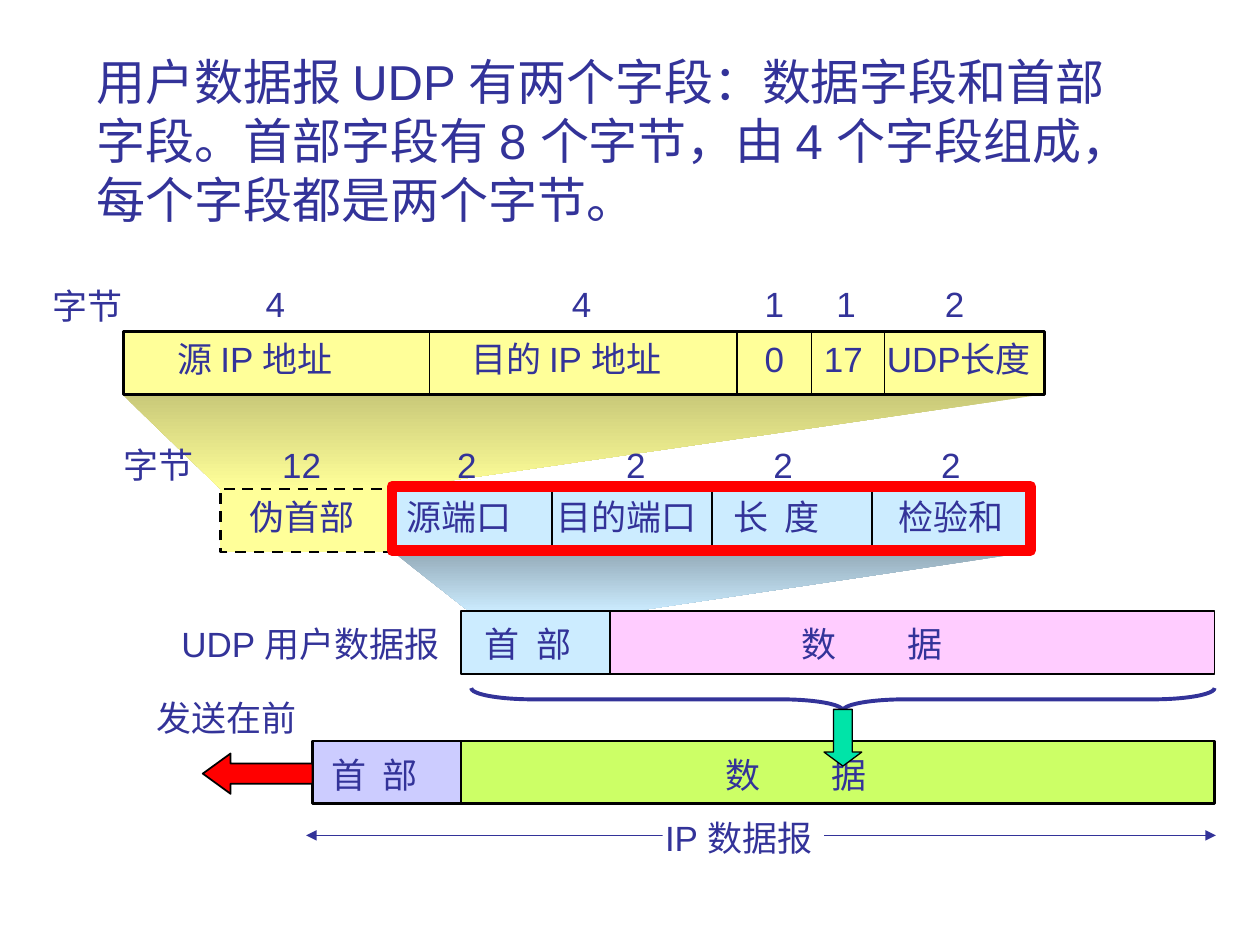
"""Build a slide on the UDP header, its pseudo header and IP encapsulation."""
import pptx
import pptx.dml.color
import pptx.enum.dml
import pptx.enum.shapes
import pptx.enum.text
import pptx.oxml
import pptx.oxml.ns
import pptx.util

Inches = pptx.util.Inches
Pt = pptx.util.Pt
RGBColor = pptx.dml.color.RGBColor
Kind = pptx.enum.shapes.MSO_SHAPE

BLACK = RGBColor(0x00, 0x00, 0x00)
WHITE = RGBColor(0xFF, 0xFF, 0xFF)
NAVY = RGBColor(0x33, 0x33, 0x99)
RED = RGBColor(0xFF, 0x00, 0x00)
YELLOW = RGBColor(0xFF, 0xFF, 0x99)
DARK_YELLOW = RGBColor(0xC9, 0xC9, 0x79)
SKY = RGBColor(0xCC, 0xEC, 0xFF)
DARK_SKY = RGBColor(0x94, 0xAB, 0xB9)
LAVENDER = RGBColor(0xCC, 0xCC, 0xFF)
LIME = RGBColor(0xCC, 0xFF, 0x66)
PINK = RGBColor(0xFF, 0xCC, 0xFF)
GREEN = RGBColor(0x00, 0xE4, 0xA8)

ROW_HEIGHT = 0.5
PSEUDO_TOP, HEADER_TOP, UDP_TOP, IP_TOP = 2.63, 3.88, 4.85, 5.88

presentation = pptx.Presentation()
presentation.slide_width = Inches(10)
presentation.slide_height = Inches(7.5)
slide = presentation.slides.add_slide(presentation.slide_layouts[6])


def add_box(kind, left, top, width, height, fill, line, line_width):
    shape = slide.shapes.add_shape(
        kind, Inches(left), Inches(top), Inches(width), Inches(height))
    shape.shadow.inherit = False
    if fill is None:
        shape.fill.background()
    else:
        shape.fill.solid()
        shape.fill.fore_color.rgb = fill
    if line is None:
        shape.line.fill.background()
    else:
        shape.line.color.rgb = line
        shape.line.width = Pt(line_width)
    return shape


def add_label(text, left, top, width, height=0.44, size=20, wrap=False, tab=None):
    box = slide.shapes.add_textbox(
        Inches(left), Inches(top), Inches(width), Inches(height))
    frame = box.text_frame
    frame.word_wrap = wrap
    frame.margin_right = Inches(0.1 if wrap else 0.05)
    frame.auto_size = pptx.enum.text.MSO_AUTO_SIZE.SHAPE_TO_FIT_TEXT
    paragraph = frame.paragraphs[0]
    properties = paragraph._p.get_or_add_pPr()
    properties.set("hangingPunct", "0")
    if tab:
        tab_list = properties.makeelement(pptx.oxml.ns.qn("a:tabLst"), {})
        tab_list.append(properties.makeelement(
            pptx.oxml.ns.qn("a:tab"), {"pos": str(Inches(tab)), "algn": "l"}))
        properties.append(tab_list)
    run = paragraph.add_run()
    run.text = text
    run.font.name = "Arial"
    run.font.size = Pt(size)
    run.font.color.rgb = NAVY


funnels = [
    ([(3.12, 4.38), (8.18, 4.38), (4.97, 4.86), (3.72, 4.85)], DARK_SKY, SKY),
    ([(0.97, 3.13), (8.28, 3.13), (3.12, 3.88), (1.75, 3.88)], DARK_YELLOW, YELLOW),
]
for points, top_color, bottom_color in funnels:
    corners = [(Inches(x), Inches(y)) for x, y in points]
    builder = slide.shapes.build_freeform(*corners[0])
    builder.add_line_segments(corners[1:], close=True)
    funnel = builder.convert_to_shape()
    funnel.shadow.inherit = False
    funnel.line.fill.background()
    funnel.fill.gradient()
    funnel.fill.gradient_angle = 270
    for stop, position, color in zip(
            funnel.fill.gradient_stops, (0, 1), (top_color, bottom_color)):
        stop.position = position
        stop.color.rgb = color

for left, top, width, fill, line_width in [
    (0.98, PSEUDO_TOP, 7.31, YELLOW, 1.5),
    (3.12, HEADER_TOP, 5.07, SKY, 1.5),
    (3.66, UDP_TOP, 1.18, SKY, 1),
    (4.84, UDP_TOP, 4.8, PINK, 1),
    (2.48, IP_TOP, 1.18, LAVENDER, 1.5),
    (3.66, IP_TOP, 5.98, LIME, 1.5),
]:
    add_box(Kind.RECTANGLE, left, top, width, ROW_HEIGHT, fill, BLACK, line_width)

corners = [(Inches(x), Inches(y))
           for x, y in [(3.12, 4.38), (1.75, 4.38), (1.75, 3.88), (3.12, 3.88)]]
builder = slide.shapes.build_freeform(*corners[0])
builder.add_line_segments(corners[1:], close=False)
pseudo_header = builder.convert_to_shape()
pseudo_header.shadow.inherit = False
pseudo_header.fill.solid()
pseudo_header.fill.fore_color.rgb = YELLOW
pseudo_header.line.color.rgb = BLACK
pseudo_header.line.width = Pt(1.5)
pseudo_header.line.dash_style = pptx.enum.dml.MSO_LINE.DASH

dividers = [(x, PSEUDO_TOP, x, PSEUDO_TOP + ROW_HEIGHT, BLACK)
            for x in (3.41, 5.85, 6.44, 7.02)]
dividers += [(x, HEADER_TOP, x, HEADER_TOP + ROW_HEIGHT, BLACK)
             for x in (4.38, 5.65, 6.92)]
span = (2.43, 6.63, 9.65, 6.63, NAVY)
for x1, y1, x2, y2, color in dividers + [span]:
    connector = slide.shapes.add_connector(
        pptx.enum.shapes.MSO_CONNECTOR.STRAIGHT,
        Inches(x1), Inches(y1), Inches(x2), Inches(y2))
    connector.line.color.rgb = color
    connector.line.width = Pt(0.75)
    properties = connector._element.spPr
    properties.append(properties.makeelement(pptx.oxml.ns.qn("a:effectLst"), {}))
line = connector.line._get_or_add_ln()
for end in ("a:headEnd", "a:tailEnd"):
    line.append(line.makeelement(pptx.oxml.ns.qn(end), {"type": "triangle"}))

add_box(Kind.RECTANGLE, 5.26, 6.46, 1.28, 0.32, WHITE, None, 0)
send_arrow = add_box(Kind.LEFT_ARROW, 1.61, 5.98, 0.87, 0.32, RED, BLACK, 1)
send_arrow.adjustments[1] = 0.69
brace = add_box(Kind.LEFT_BRACE, 6.6, 2.6, 0.18, 5.9, None, NAVY, 2.25)
brace.rotation = 270
brace.adjustments[0] = 2.72

rows = [
    (2.19, [("4", 2.01, 0.35), ("4", 4.44, 0.35), ("1", 5.97, 0.35),
            ("1", 6.54, 0.35), ("2", 7.4, 0.35)]),
    (2.21, [("字节", 0.32, 0.75)]),
    (PSEUDO_TOP, [("源 IP 地址", 1.31, 1.64), ("目的 IP 地址", 3.64, 1.92),
                  ("0", 5.97, 0.35), ("17", 6.44, 0.51), ("UDP长度", 6.94, 1.41)]),
    (3.47, [("字节", 0.88, 0.75), ("12", 2.14, 0.51), ("2", 3.53, 0.35),
            ("2", 4.87, 0.35), ("2", 6.04, 0.35), ("2", 7.37, 0.35)]),
    (HEADER_TOP, [("伪首部", 1.88, 1.03), ("源端口", 3.13, 1.03),
                  ("目的端口", 4.32, 1.31), ("长\t度", 5.72, 1.03, 0.41),
                  ("检验和", 7.03, 1.03)]),
    (4.89, [("UDP 用户数据报", 1.34, 2.32), ("首\t部", 3.75, 1.03, 0.41),
            ("数\t据", 6.26, 2.01, 0.84)]),
    (5.48, [("发送在前", 1.14, 1.31)]),
    (5.93, [("首\t部", 2.53, 1.03, 0.41), ("数\t据", 5.66, 2.01, 0.84)]),
    (6.43, [("IP 数据报", 5.18, 1.44)]),
]
for top, labels in rows:
    for text, left, width, *tab in labels:
        add_label(text, left, top, width, tab=tab[0] if tab else None)

down_arrow = add_box(Kind.DOWN_ARROW, 6.54, 5.63, 0.3, 0.45, GREEN, BLACK, 0.75)
down_arrow.adjustments[1] = 0.37
add_box(Kind.RECTANGLE, 3.11, 3.86, 5.07, 0.51, None, RED, 6)
add_label("用户数据报 UDP 有两个字段：数据字段和首部字段。首部字段有 8 个字节，"
          "由 4 个字段组成，每个字段都是两个字节。",
          0.67, 0.36, 8.53, 1.5, size=28, wrap=True)

presentation.save("out.pptx")
